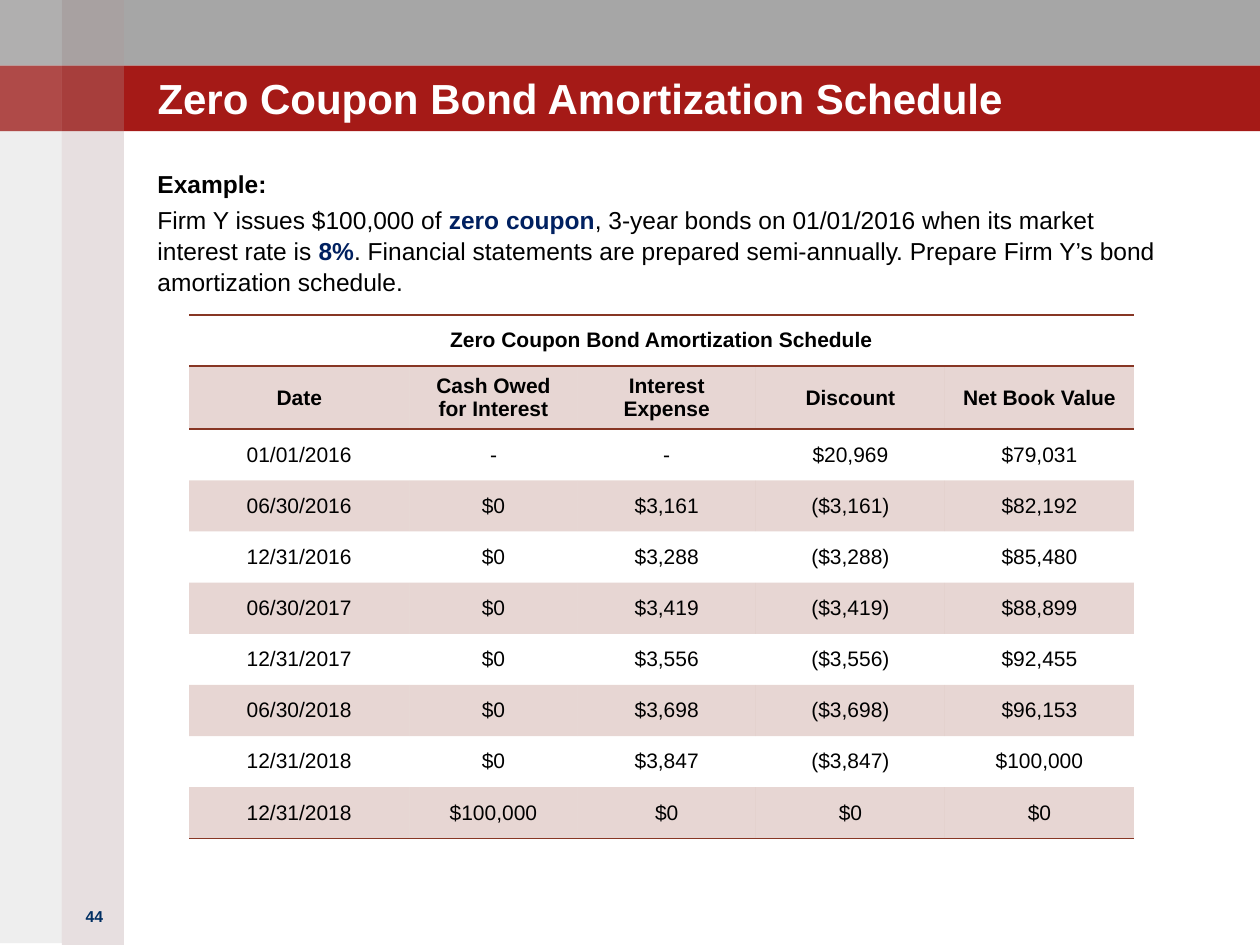
"""Build the zero coupon bond amortization schedule slide."""
import pptx
import pptx.dml.color
import pptx.enum.shapes
import pptx.enum.text
import pptx.oxml
import pptx.oxml.ns
import pptx.util

Pt = pptx.util.Pt
RGB = pptx.dml.color.RGBColor.from_string
ALIGN = pptx.enum.text.PP_ALIGN
ANCHOR = pptx.enum.text.MSO_ANCHOR
THEME = {
    "font": "Arial", "title": 24, "body": 14, "table": 12, "number": 9,
    "gray": "A6A6A6", "red": "A51A17", "rose": "A08284", "ash": "938F8F",
    "white": "FFFFFF", "black": "000000", "navy": "002060", "page": "002E62",
    "brown": "873624",
}


def paint(fill, properties, color, opacity=100):
    fill.solid()
    fill.fore_color.rgb = RGB(THEME[color])
    if opacity < 100:
        color_element = properties.find(".//" + pptx.oxml.ns.qn("a:srgbClr"))
        alpha = pptx.oxml.parse_xml(
            f'<a:alpha {pptx.oxml.ns.nsdecls("a")} val="{opacity * 1000}"/>')
        color_element.append(alpha)


def add_run(paragraph, text, size, color="black", bold=False):
    run = paragraph.add_run()
    run.text = text
    run.font.name = THEME["font"]
    run.font.size = Pt(THEME[size])
    run.font.bold = bold
    run.font.color.rgb = RGB(THEME[color])


presentation = pptx.Presentation()
presentation.slide_width, presentation.slide_height = Pt(720), Pt(540)
slide = presentation.slides.add_slide(presentation.slide_layouts[6])

band, stripe = 37.5, 35.4
rectangles = [
    (0, 0, 720, band, "gray", 100),
    (0, band, 720, band, "red", 100),
    (stripe, 0, stripe, 540, "rose", 25),
    (0, 0, stripe, 539, "ash", 15),
]
for top in (0, band):
    rectangles += [(stripe, top, stripe, band, "white", 5),
                   (0, top, stripe, band, "white", 15)]
for left, top, width, height, color, opacity in rectangles:
    shape = slide.shapes.add_shape(
        pptx.enum.shapes.MSO_SHAPE.RECTANGLE, Pt(left), Pt(top), Pt(width), Pt(height))
    shape.shadow.inherit = False
    shape.line.fill.background()
    paint(shape.fill, shape._element.spPr, color, opacity)

number_box = slide.shapes.add_textbox(Pt(36), Pt(514.8), Pt(36), Pt(25))
number_box.text_frame.word_wrap = True
paragraph = number_box.text_frame.paragraphs[0]
paragraph.alignment = ALIGN.CENTER
add_run(paragraph, "44", "number", "page", True)

title_box = slide.shapes.add_textbox(Pt(90), Pt(22.3), Pt(564), Pt(48.2))
body_box = slide.shapes.add_textbox(Pt(90), Pt(95.8), Pt(576), Pt(378))
for box in (title_box, body_box):
    frame = box.text_frame
    frame.word_wrap = True
    frame.margin_left = frame.margin_top = frame.margin_right = frame.margin_bottom = 0
title_box.text_frame.vertical_anchor = ANCHOR.BOTTOM
heading = "Zero Coupon Bond Amortization Schedule"
add_run(title_box.text_frame.paragraphs[0], heading, "title", "white", True)

body = [
    [("Example:", "black", True)],
    [("Firm Y issues $100,000 of ", "black", False),
     ("zero coupon", "navy", True),
     (", 3-year bonds on 01/01/2016 when its market interest rate is ", "black", False),
     ("8%", "navy", True),
     (". Financial statements are prepared semi-annually. "
      "Prepare Firm Y’s bond amortization schedule.", "black", False)],
]
frame = body_box.text_frame
for index, runs in enumerate(body):
    paragraph = frame.add_paragraph() if index else frame.paragraphs[0]
    paragraph.space_before = Pt(2.8)
    paragraph.line_spacing = 1.05
    for text, color, bold in runs:
        add_run(paragraph, text, "body", color, bold)

rows = [
    [heading, "", "", "", ""],
    ["Date", "Cash Owed for Interest", "Interest Expense", "Discount", "Net Book Value"],
    ["01/01/2016", "-", "-", "$20,969", "$79,031"],
    ["06/30/2016", "$0", "$3,161", "($3,161)", "$82,192"],
    ["12/31/2016", "$0", "$3,288", "($3,288)", "$85,480"],
    ["06/30/2017", "$0", "$3,419", "($3,419)", "$88,899"],
    ["12/31/2017", "$0", "$3,556", "($3,556)", "$92,455"],
    ["06/30/2018", "$0", "$3,698", "($3,698)", "$96,153"],
    ["12/31/2018", "$0", "$3,847", "($3,847)", "$100,000"],
    ["12/31/2018", "$100,000", "$0", "$0", "$0"],
]
row_height = 29.23
table = slide.shapes.add_table(
    len(rows), 5, Pt(108), Pt(180), Pt(540), Pt(row_height * len(rows))).table
table.first_row = table.horz_banding = False
style = table._tbl.tblPr.find(pptx.oxml.ns.qn("a:tableStyleId"))
style.text = "{2D5ABB26-0587-4C30-8999-92F81FD0307C}"
for column, width in zip(table.columns, (126, 96, 102, 108, 108)):
    column.width = Pt(width)
table.cell(0, 0).merge(table.cell(0, 4))

borders = {0: ("lnT", "lnB"), 1: ("lnT",), len(rows) - 1: ("lnB",)}
for row_index, values in enumerate(rows):
    table.rows[row_index].height = Pt(row_height)
    for column_index, value in enumerate(values):
        cell = table.cell(row_index, column_index)
        cell.vertical_anchor = ANCHOR.MIDDLE
        properties = cell._tc.tcPr
        if row_index % 2:
            paint(cell.fill, properties, "brown", 20)
        else:
            cell.fill.background()
        for position, side in enumerate(borders.get(row_index, ())):
            properties.insert(position, pptx.oxml.parse_xml(
                f'<a:{side} {pptx.oxml.ns.nsdecls("a")} w="12700"><a:solidFill>'
                f'<a:srgbClr val="{THEME["brown"]}"/></a:solidFill></a:{side}>'))
        if value:
            paragraph = cell.text_frame.paragraphs[0]
            paragraph.alignment = ALIGN.CENTER
            add_run(paragraph, value, "table", bold=row_index < 2)

presentation.save("out.pptx")
